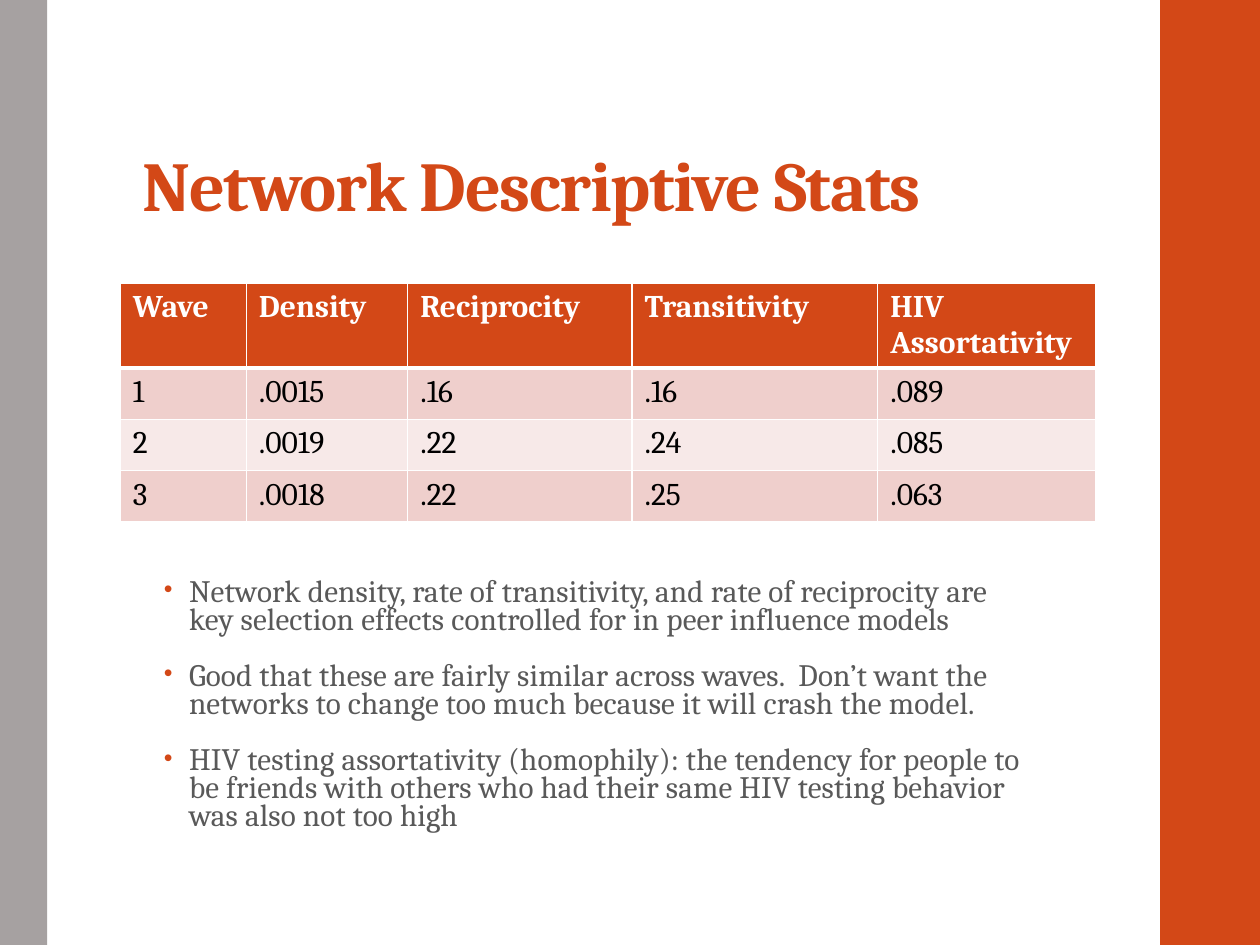
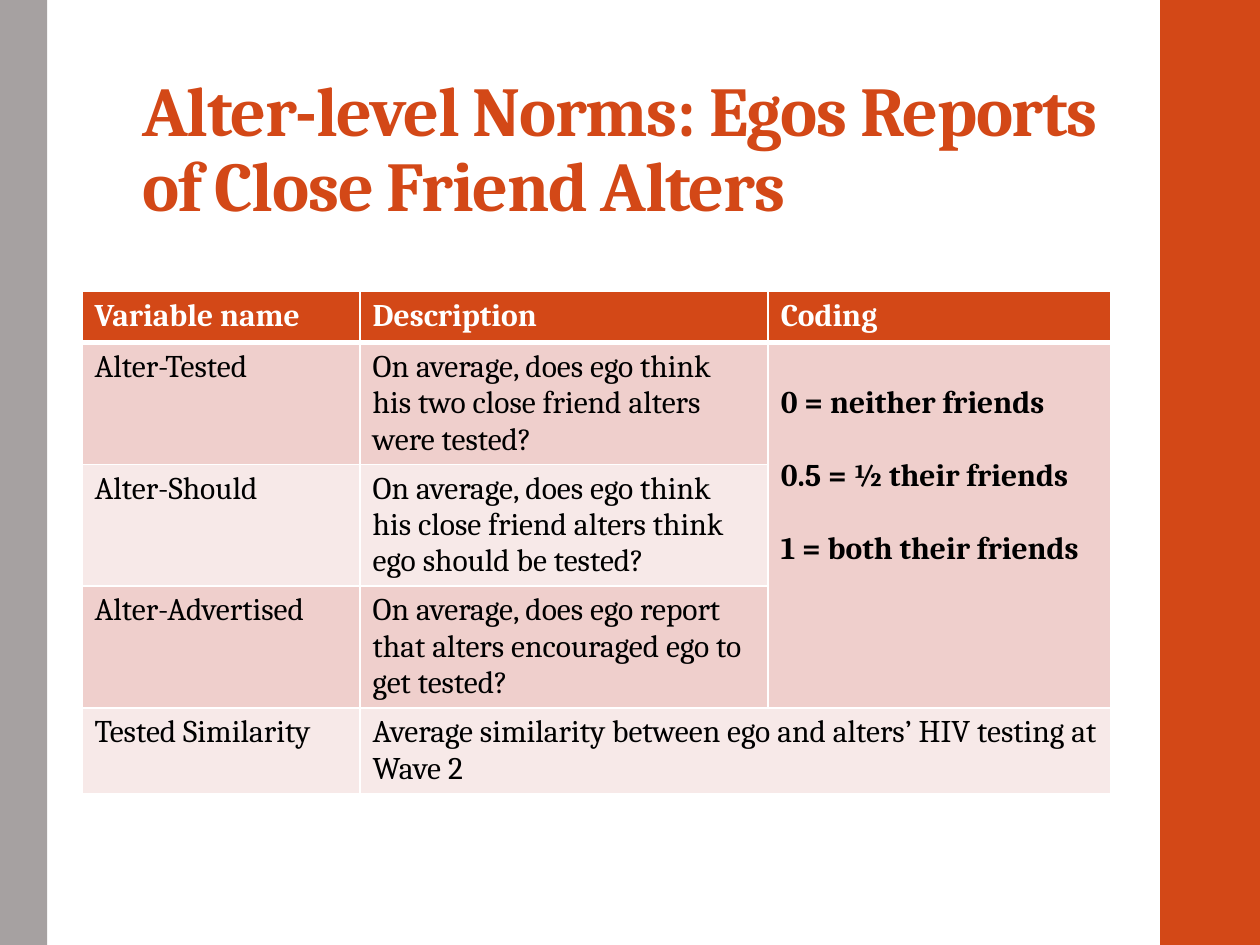
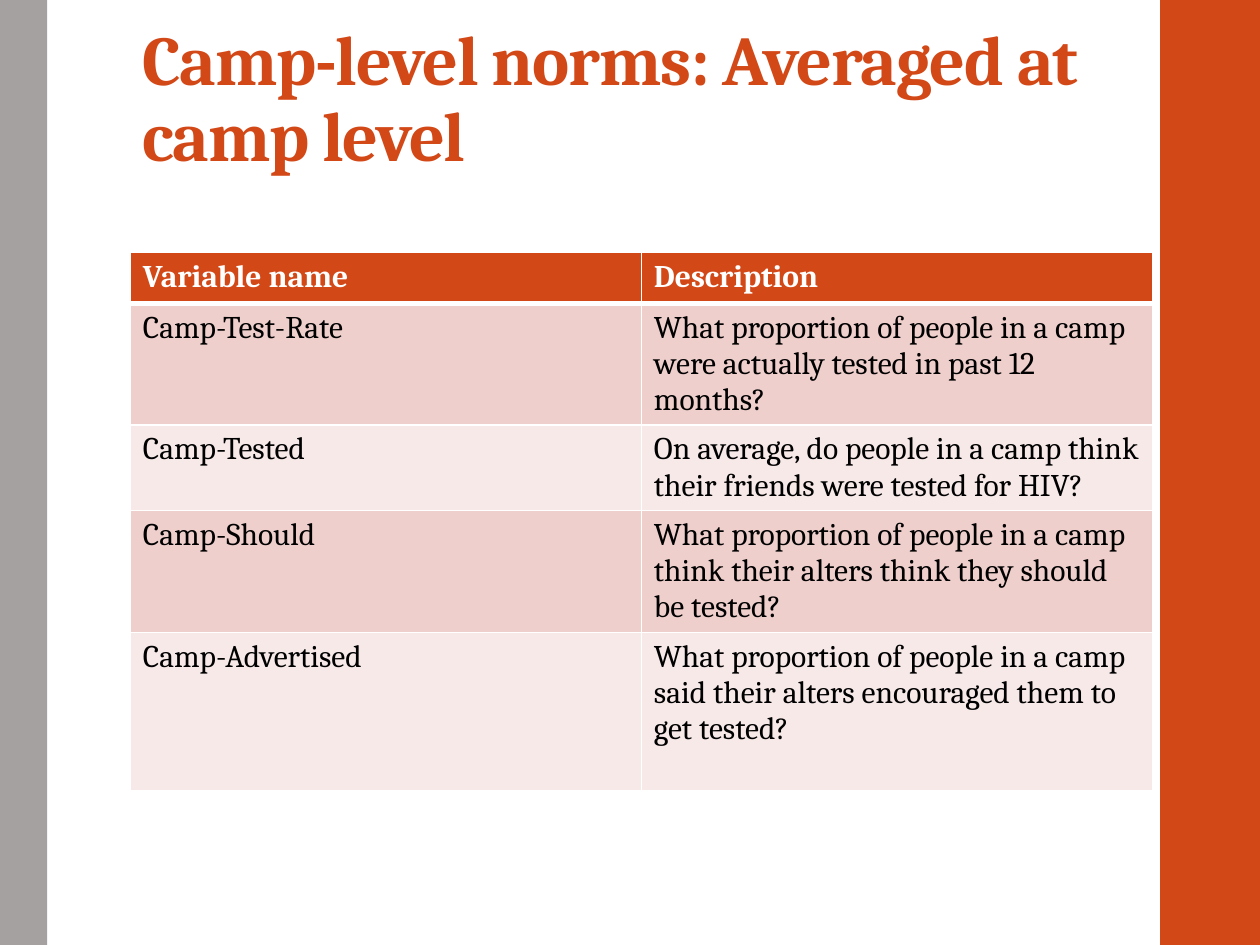
import pptx
import pptx.dml.color
import pptx.enum.shapes
import pptx.enum.text
import pptx.oxml
import pptx.oxml.ns
import pptx.util

Pt = pptx.util.Pt
RGBColor = pptx.dml.color.RGBColor
MSO_ANCHOR = pptx.enum.text.MSO_ANCHOR
PP_ALIGN = pptx.enum.text.PP_ALIGN

ORANGE = RGBColor(0xD3, 0x48, 0x17)
GRAY = RGBColor(0xA6, 0xA1, 0xA1)
TEXT_GRAY = RGBColor(0x59, 0x59, 0x59)
WHITE = RGBColor(0xFF, 0xFF, 0xFF)
BLACK = RGBColor(0, 0, 0)
ROW_FILLS = (RGBColor(0xEF, 0xCF, 0xCC), RGBColor(0xF7, 0xE9, 0xE8))

FONT = "Cambria"
SLIDE_W, SLIDE_H = 720, 540
LAYOUT_BODY, LAYOUT_TITLE = 1, 5
LINE_H, CELL_PAD, MIN_ROW_H = 20.8, 7.2, 29.2

TITLE_FONT = {"name": FONT, "size": Pt(40), "bold": True}
BODY_FONT = {"name": FONT, "size": Pt(17.8), "bold": False}
HEAD_FONT = {"name": FONT, "size": Pt(18), "bold": True}
CELL_FONT = {"name": FONT, "size": Pt(18), "bold": False}
TITLE_PARA = {"alignment": PP_ALIGN.LEFT, "line_spacing": 0.9}
BODY_PARA = {"alignment": PP_ALIGN.LEFT, "line_spacing": 0.75,
             "space_before": Pt(14), "space_after": Pt(2)}


def set_attrs(obj, values):
    for name, value in values.items():
        setattr(obj, name, value)


def place(sp, left, top, width, height):
    set_attrs(sp, {"left": Pt(left), "top": Pt(top),
                   "width": Pt(width), "height": Pt(height)})


def write(p, text, font, color, spacing=0):
    """Add a run; spacing is the extra space between letters in points."""
    r = p.add_run()
    r.text = text
    set_attrs(r.font, font)
    r.font.color.rgb = color
    if spacing:
        r._r.get_or_add_rPr().set("spc", str(round(spacing * 100)))


def add_xml(parent, xml):
    declared = xml.replace(" ", f' {pptx.oxml.ns.nsdecls("a")} ', 1)
    parent.append(pptx.oxml.parse_xml(declared))


def add_master_band(prs, slide, shape_id, left, width, color):
    """Draw a full-height band and move it behind everything on the master."""
    sp = slide.shapes.add_shape(pptx.enum.shapes.MSO_SHAPE.RECTANGLE,
                                Pt(left), Pt(0), Pt(width), Pt(SLIDE_H))
    sp.shadow.inherit = False
    sp.fill.solid()
    sp.fill.fore_color.rgb = color
    sp.line.fill.background()
    sp.element.nvSpPr.cNvPr.set("id", str(shape_id))
    prs.slide_master.element.cSld.spTree.insert(2, sp.element)


def add_slide(prs, layout, title, title_top=28.8):
    slide = prs.slides.add_slide(prs.slide_layouts[layout])
    sp = slide.shapes.title
    place(sp, 74.2, title_top, 572.4, 104.4)
    tf = sp.text_frame
    set_attrs(tf, {"vertical_anchor": MSO_ANCHOR.BOTTOM, "word_wrap": True,
                   "auto_size": pptx.enum.text.MSO_AUTO_SIZE.NONE})
    p = tf.paragraphs[0]
    set_attrs(p, TITLE_PARA)
    write(p, title, TITLE_FONT, ORANGE, -0.7)
    return slide


def fill_bullets(sp, items):
    tf = sp.text_frame
    set_attrs(tf, {"vertical_anchor": MSO_ANCHOR.TOP, "word_wrap": True,
                   "auto_size": pptx.enum.text.MSO_AUTO_SIZE.NONE})
    for i, item in enumerate(items):
        p = tf.add_paragraph() if i else tf.paragraphs[0]
        set_attrs(p, BODY_PARA)
        pPr = p._p.get_or_add_pPr()
        pPr.set("marL", str(Pt(14.4)))
        pPr.set("indent", str(-Pt(14.4)))
        add_xml(pPr, f'<a:buClr ><a:srgbClr val="{ORANGE}"/></a:buClr>')
        add_xml(pPr, '<a:buSzPct val="80000"/>')
        add_xml(pPr, '<a:buChar char="•"/>')
        write(p, item, BODY_FONT, TEXT_GRAY, 0.1)


def style_cell(cell, row):
    """Set white borders, thick under the header, and the row's fill."""
    widths = {"L": 1, "R": 1, "T": 3 if row == 1 else 1, "B": 1 if row else 3}
    tcPr = cell._tc.get_or_add_tcPr()
    for side, width in widths.items():
        add_xml(tcPr, f'<a:ln{side} w="{Pt(width)}"><a:solidFill>'
                      f'<a:srgbClr val="{WHITE}"/></a:solidFill></a:ln{side}>')
    cell.fill.solid()
    cell.fill.fore_color.rgb = ROW_FILLS[(row - 1) % 2] if row else ORANGE


def add_table(slide, left, top, col_widths, row_lines, rows):
    """Add a table whose row heights follow from the text lines in each row."""
    heights = [max(MIN_ROW_H, n * LINE_H + CELL_PAD) for n in row_lines]
    table = slide.shapes.add_table(
        len(rows), len(col_widths), Pt(left), Pt(top),
        Pt(sum(col_widths)), Pt(sum(heights))).table
    for col, width in zip(table.columns, col_widths):
        col.width = Pt(width)
    for i, (texts, height) in enumerate(zip(rows, heights)):
        table.rows[i].height = Pt(height)
        for j, text in enumerate(texts):
            cell = table.cell(i, j)
            style_cell(cell, i)
            if text:
                write(cell.text_frame.paragraphs[0], text,
                      CELL_FONT if i else HEAD_FONT, BLACK if i else WHITE)
    return table


def fill_coding_cell(cell, codes):
    """Write bold codes, each set one line apart."""
    cell.margin_top = Pt(LINE_H + CELL_PAD / 2)
    tf = cell.text_frame
    for i, code in enumerate(codes):
        p = tf.add_paragraph() if i else tf.paragraphs[0]
        if i:
            p.space_before = Pt(LINE_H)
        write(p, code, HEAD_FONT, BLACK)


def build_network_stats(prs):
    slide = add_slide(prs, LAYOUT_BODY, "Network Descriptive Stats")
    add_master_band(prs, slide, 101, 663, 57.6, ORANGE)
    add_master_band(prs, slide, 102, 0, 27, GRAY)
    body = slide.placeholders[1]
    place(body, 86.4, 327.6, 507.6, 187.2)
    fill_bullets(body, [
        "Network density, rate of transitivity, and rate of reciprocity are "
        "key selection effects controlled for in peer influence models",
        "Good that these are fairly similar across waves.  Don’t want the "
        "networks to change too much because it will crash the model.",
        "HIV testing assortativity (homophily): the tendency for people to "
        "be friends with others who had their same HIV testing behavior "
        "was also not too high",
    ])
    add_table(slide, 68.8, 161.6, [72, 92.2, 128.2, 140.4, 124.6], [2, 1, 1, 1], [
        ["Wave", "Density", "Reciprocity", "Transitivity", "HIV Assortativity"],
        ["1", ".0015", ".16", ".16", ".089"],
        ["2", ".0019", ".22", ".24", ".085"],
        ["3", ".0018", ".22", ".25", ".063"],
    ])


def build_alter_norms(prs):
    slide = add_slide(prs, LAYOUT_TITLE,
                      "Alter-level Norms: Egos Reports of Close Friend Alters")
    table = add_table(slide, 46.8, 166.6, [159, 233.2, 195.8], [1, 3, 3, 3, 2], [
        ["Variable name", "Description", "Coding"],
        ["Alter-Tested", "On average, does ego think his two close friend "
                         "alters were tested?", None],
        ["Alter-Should", "On average, does ego think his close friend alters "
                         "think ego should be tested?", None],
        ["Alter-Advertised", "On average, does ego report that alters "
                             "encouraged ego to get tested?", None],
        ["Tested Similarity", "Average similarity between ego and alters’ "
                              "HIV testing at Wave 2", None],
    ])
    table.cell(1, 2).merge(table.cell(3, 2))
    table.cell(4, 1).merge(table.cell(4, 2))
    fill_coding_cell(table.cell(1, 2), [
        "0 = neither friends", "0.5 = ½ their friends", "1 = both their friends"])


def build_camp_norms(prs):
    slide = add_slide(prs, LAYOUT_TITLE,
                      "Camp-level norms: Averaged at camp level", title_top=0)
    add_table(slide, 74.5, 144.2, [292] * 2, [1, 3, 2, 3, 4], [
        ["Variable name", "Description"],
        ["Camp-Test-Rate", "What proportion of people in a camp were actually "
                           "tested in past 12 months?"],
        ["Camp-Tested", "On average, do people in a camp think their friends "
                        "were tested for HIV?"],
        ["Camp-Should", "What proportion of people in a camp think their "
                        "alters think they should be tested?"],
        ["Camp-Advertised", "What proportion of people in a camp said their "
                            "alters encouraged them to get tested?"],
    ])


def main():
    prs = pptx.Presentation()
    set_attrs(prs, {"slide_width": Pt(SLIDE_W), "slide_height": Pt(SLIDE_H)})
    build_network_stats(prs)
    build_alter_norms(prs)
    build_camp_norms(prs)
    prs.save("out.pptx")


if __name__ == "__main__":
    main()
